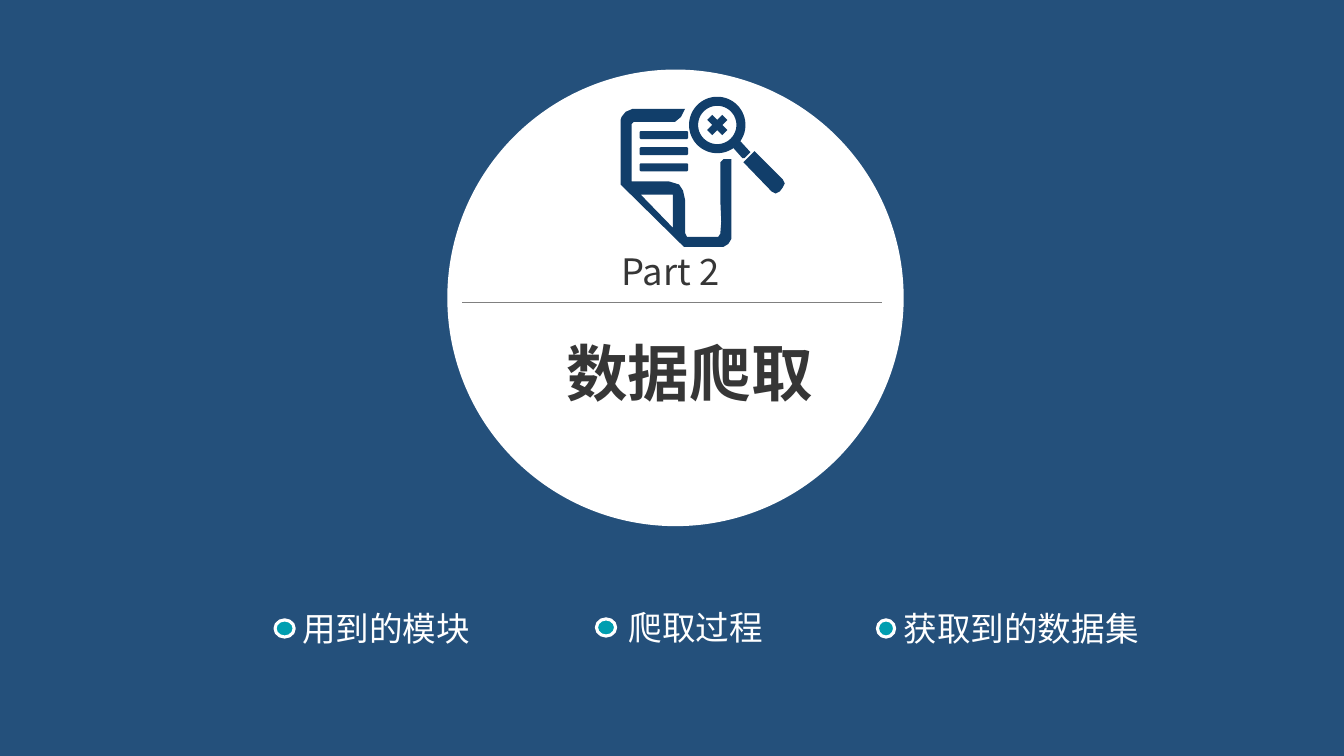
import math
from dataclasses import dataclass

from lxml import etree
from pptx import Presentation
from pptx.dml.color import RGBColor
from pptx.enum import shapes, text
from pptx.oxml import ns
from pptx.util import Inches, Pt

NAVY = RGBColor(0x24, 0x50, 0x7B)
ICON_BLUE = RGBColor(0x11, 0x3E, 0x6A)
TEAL = RGBColor(0x00, 0x9E, 0xB0)
WHITE = RGBColor(0xFF, 0xFF, 0xFF)
GREY = RGBColor(0x80, 0x80, 0x80)
DARK = RGBColor(0x36, 0x36, 0x36)
FONT = "Noto Sans CJK SC"

Points = list[tuple[float, float]]


@dataclass
class Topic:
    label: str
    dot_left: float
    dot_width: float
    text_left: float
    text_width: float
    top: float


TOPICS = [
    Topic("用到的模块", 2.73, 0.19, 2.9, 3.13, 5.98),
    Topic("爬取过程", 5.92, 0.19, 6.14, 3.13, 5.97),
    Topic("获取到的数据集", 8.71, 0.17, 8.87, 2.91, 5.98),
]

LENS_X, LENS_Y = 7.12, 1.24
PAGE = [
    (6.16, 1.19), (6.16, 1.83), (6.79, 2.45), (7.18, 2.45), (7.23, 2.42),
    (7.26, 2.37), (7.26, 1.58), (7.18, 1.58), (7.15, 1.61), (7.15, 1.98),
    (7.16, 2.2), (7.15, 2.32), (7.13, 2.35), (6.82, 2.35), (6.8, 2.31),
    (6.8, 1.98), (6.78, 1.89), (6.74, 1.83), (6.64, 1.8), (6.27, 1.8),
    (6.27, 1.23), (6.29, 1.21), (6.7, 1.21), (6.76, 1.16), (6.8, 1.08),
    (6.28, 1.08), (6.21, 1.11), (6.17, 1.16),
]
FOLD = [(6.68, 2.26), (6.68, 1.93), (6.36, 1.93)]
HANDLE = [
    (7.49, 1.5), (7.77, 1.78), (7.79, 1.82), (7.77, 1.86), (7.74, 1.9),
    (7.7, 1.92), (7.66, 1.9), (7.38, 1.61),
]
NECK = [(7.44, 1.5), (7.45, 1.51), (7.39, 1.57), (7.37, 1.57)]


def arc(radius: float, start: int, end: int) -> Points:
    angles = [math.radians(a) for a in range(start, end + 1, 5)]
    return [(LENS_X + radius * math.cos(a), LENS_Y + radius * math.sin(a)) for a in angles]


def cross(reach: float, half: float) -> Points:
    arm = [(half, 0), (reach, reach - half), (reach - half, reach)]
    points = []
    for turn in range(4):
        for x, y in arm:
            for _ in range(turn):
                x, y = -y, x
            points.append((LENS_X + x, LENS_Y + y))
    return points


def text_bar(top: float) -> Points:
    left, right, bottom, cut = 6.35, 6.83, top + 0.08, 0.01
    return [
        (left + cut, top), (right - cut, top), (right, top + cut), (right, bottom - cut),
        (right - cut, bottom), (left + cut, bottom), (left, bottom - cut), (left, top + cut),
    ]


def add_icon(s, contours: list[Points]) -> None:
    fb = None
    for contour in contours:
        (x, y), *rest = [(Inches(px), Inches(py)) for px, py in contour]
        if fb is None:
            fb = s.shapes.build_freeform(x, y)
        else:
            fb.move_to(x, y)
        fb.add_line_segments(rest, close=True)
    sp = fb.convert_to_shape()
    sp.shadow.inherit = False
    sp.fill.solid()
    sp.fill.fore_color.rgb = ICON_BLUE
    sp.line.fill.background()


def add_oval(s, left: float, top: float, width: float, height: float,
             fill: RGBColor, outline: RGBColor | None = None) -> None:
    sp = s.shapes.add_shape(shapes.MSO_SHAPE.OVAL, Inches(left), Inches(top),
                            Inches(width), Inches(height))
    sp.shadow.inherit = False
    sp.fill.solid()
    sp.fill.fore_color.rgb = fill
    if outline is None:
        sp.line.fill.background()
    else:
        sp.line.color.rgb = outline
        sp.line.width = Pt(2.25)


def set_text(sp, words: str, size: int, color: RGBColor, bold: bool = False) -> None:
    tf = sp.text_frame
    tf.text = words
    tf.vertical_anchor = text.MSO_ANCHOR.TOP
    r = tf.paragraphs[0].runs[0]
    r.font.size = Pt(size)
    r.font.bold = bold
    r.font.color.rgb = color
    r.font.name = FONT
    etree.SubElement(r.font._element, ns.qn("a:ea"), typeface=FONT)


def add_label(s, words: str, left: float, top: float, width: float, height: float,
              size: int, color: RGBColor):
    sp = s.shapes.add_textbox(Inches(left), Inches(top), Inches(width), Inches(height))
    set_text(sp, words, size, color)
    sp.text_frame.word_wrap = True
    return sp


def add_divider(s) -> None:
    line = s.shapes.add_connector(shapes.MSO_CONNECTOR.STRAIGHT,
                                  Inches(4.59), Inches(3), Inches(8.75), Inches(3))
    line.line.color.rgb = GREY
    line.line.width = Pt(1)
    etree.SubElement(line._element.spPr, ns.qn("a:effectLst"))


def main() -> None:
    prs = Presentation()
    prs.slide_width, prs.slide_height = Inches(13.34), Inches(7.5)
    s = prs.slides.add_slide(prs.slide_layouts[5])
    s.background.fill.solid()
    s.background.fill.fore_color.rgb = NAVY

    title = s.shapes.title
    title.left, title.top = Inches(4.68), Inches(3.27)
    title.width, title.height = Inches(4.33), Inches(0.84)
    set_text(title, "数据爬取", 44, DARK, bold=True)
    title.text_frame.auto_size = text.MSO_AUTO_SIZE.NONE
    title.text_frame.paragraphs[0].alignment = text.PP_ALIGN.CENTER

    add_oval(s, 4.44, 0.69, 4.53, 4.53, WHITE)
    s.shapes._spTree.append(title._element)
    lens = arc(0.28, 55, 395) + NECK
    bars = [text_bar(top) for top in (1.3, 1.46, 1.62)]
    add_icon(s, [PAGE, FOLD, *bars, lens, arc(0.19, 0, 355), cross(0.1, 0.05), HANDLE])
    add_divider(s)

    part = add_label(s, "Part 2", 6.17, 2.47, 1, 0.43, 26, DARK)
    tf = part.text_frame
    tf.word_wrap = False
    tf.margin_left = tf.margin_right = tf.margin_top = tf.margin_bottom = 0

    for topic in TOPICS:
        add_oval(s, topic.dot_left, topic.top + 0.17, topic.dot_width, 0.17, TEAL, WHITE)
        add_label(s, topic.label, topic.text_left, topic.top, topic.text_width, 0.5, 24, WHITE)

    prs.save("out.pptx")


if __name__ == "__main__":
    main()
